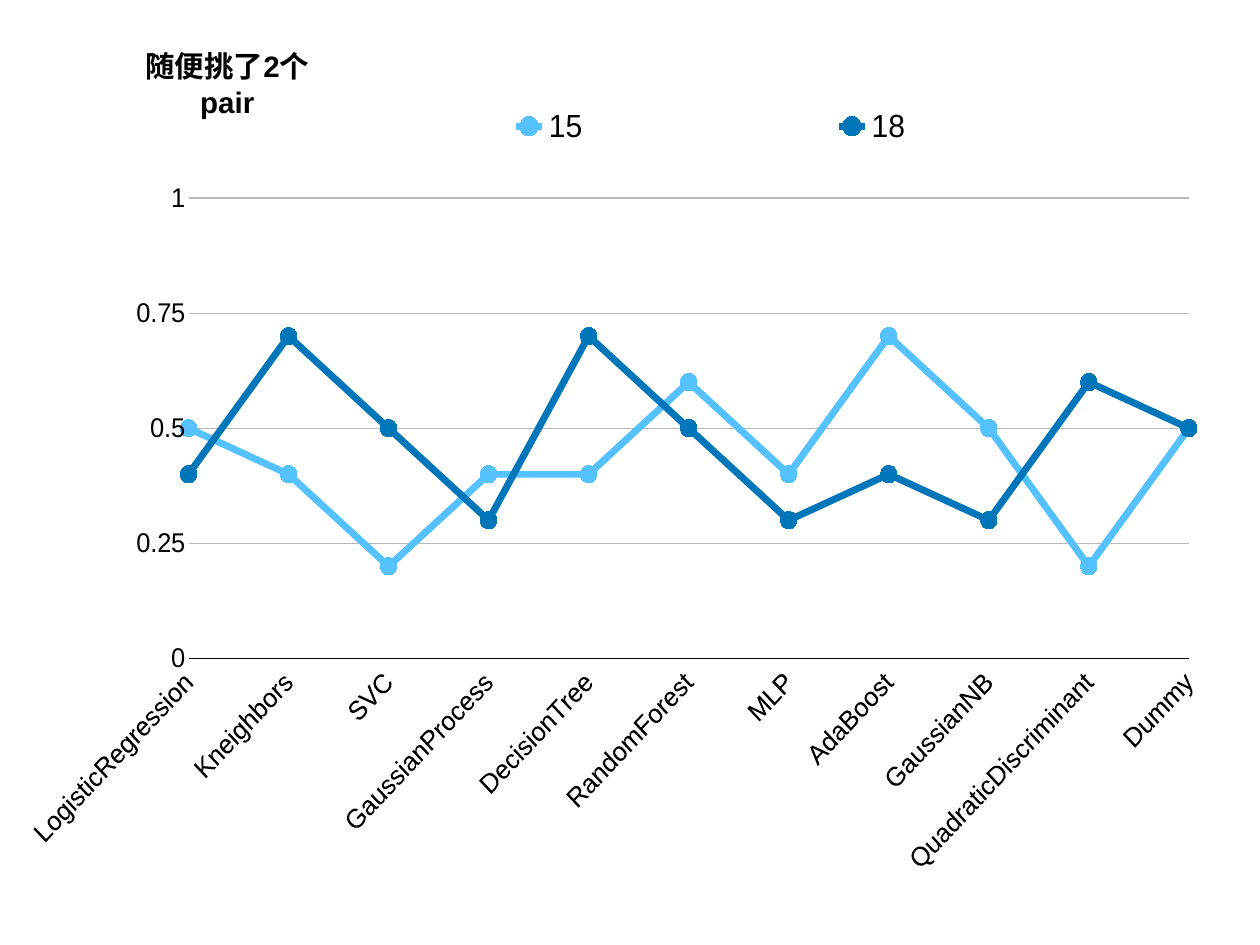
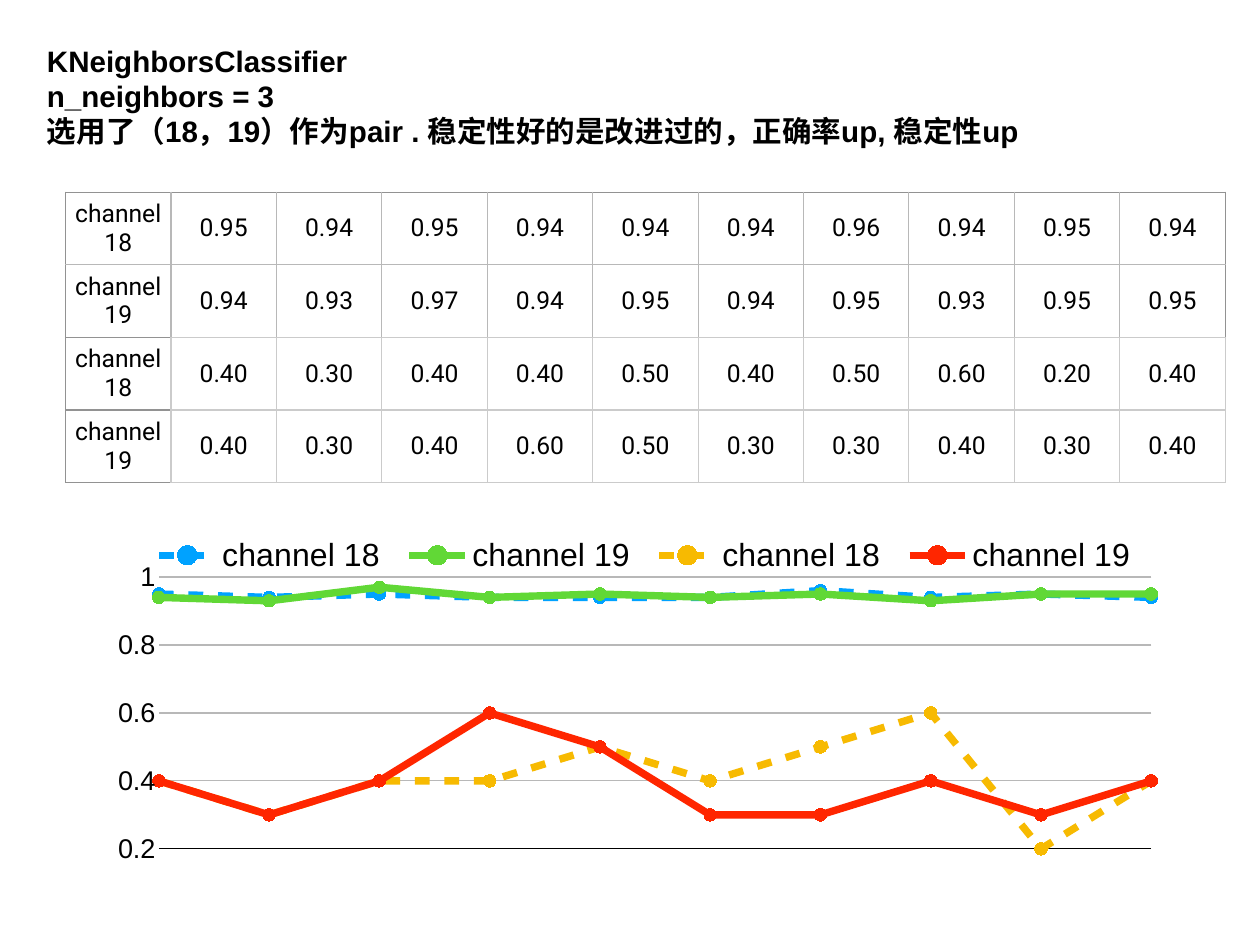
from lxml import etree
from pptx import Presentation
from pptx import util as u
from pptx.chart.data import CategoryChartData
from pptx.dml.color import RGBColor
from pptx.enum import chart as ch, text as tx
from pptx.oxml import parse_xml
from pptx.oxml.ns import nsdecls, qn

COLORS = {
    "ink": "000000", "paper": "FFFFFF",
    "edge": "929292", "grid": "B8B8B8", "pale": "CBCBCB",
    "sky": "56C1FF", "navy": "0076BA",
    "blue": "00A2FF", "green": "61D836", "gold": "F7BA01", "red": "FF2600",
}
FONT = "Arial"
PAD = 0.06

MODELS = ["LogisticRegression", "Kneighbors", "SVC", "GaussianProcess",
          "DecisionTree", "RandomForest", "MLP", "AdaBoost", "GaussianNB",
          "QuadraticDiscriminant", "Dummy"]
# Series: name, colour, dashed, values
PAIRS = [
    ("15", "sky", False, [0.5, 0.4, 0.2, 0.4, 0.4, 0.6, 0.4, 0.7, 0.5, 0.2, 0.5]),
    ("18", "navy", False, [0.4, 0.7, 0.5, 0.3, 0.7, 0.5, 0.3, 0.4, 0.3, 0.6, 0.5]),
]
RUNS = [
    ("channel 18", "blue", True,
     [0.95, 0.94, 0.95, 0.94, 0.94, 0.94, 0.96, 0.94, 0.95, 0.94]),
    ("channel 19", "green", False,
     [0.94, 0.93, 0.97, 0.94, 0.95, 0.94, 0.95, 0.93, 0.95, 0.95]),
    ("channel 18", "gold", True,
     [0.4, 0.3, 0.4, 0.4, 0.5, 0.4, 0.5, 0.6, 0.2, 0.4]),
    ("channel 19", "red", False,
     [0.4, 0.3, 0.4, 0.6, 0.5, 0.3, 0.3, 0.4, 0.3, 0.4]),
]


def rgb(name):
    return RGBColor.from_string(COLORS[name])


def style(font, size, face=FONT, bold=False):
    font.size, font.name, font.bold = u.Pt(size), face, bold
    font.color.rgb = rgb("ink")


def place(box):
    return [u.Inches(n) for n in box]


# Title
def add_title(slide, box, lines, align, left=PAD, right=PAD):
    title = slide.shapes.title
    title.left, title.top, title.width, title.height = place(box)
    frame = title.text_frame
    frame.text = "\n".join(lines)
    frame.word_wrap = True
    frame.auto_size = tx.MSO_AUTO_SIZE.NONE
    frame.vertical_anchor = tx.MSO_ANCHOR.MIDDLE
    frame.margin_left, frame.margin_right = u.Inches(left), u.Inches(right)
    frame.margin_top = frame.margin_bottom = u.Inches(PAD)
    for para in frame.paragraphs:
        para.alignment = align
        for run in para.runs:
            style(run.font, 24, bold=True)


# Table
def edges(row, col, last):
    """Colours of the left, right, top and bottom border of a cell."""
    if col == 0:
        return ("edge", "grid" if row < 2 else "pale",
                "grid" if row == 1 else "edge",
                "grid" if row == 0 else "edge")
    if row > 1:
        return ("pale",) * 4
    return ("grid", "edge" if col == last else "grid",
            "grid" if row else "edge", "pale" if row else "grid")


def set_edges(cell, names):
    props = cell._tc.get_or_add_tcPr()
    for i, (side, name) in enumerate(zip("LRTB", names)):
        props.insert(i, parse_xml(
            f'<a:ln{side} {nsdecls("a")} w="12700"><a:solidFill>'
            f'<a:srgbClr val="{COLORS[name]}"/></a:solidFill></a:ln{side}>'))


def add_grid(slide, box, rows):
    count = len(rows[0])
    table = slide.shapes.add_table(len(rows), count, *place(box)).table
    table.first_row = table.horz_banding = False
    for r, row in enumerate(rows):
        for c, value in enumerate(row):
            cell = table.cell(r, c)
            cell.text = value
            cell.vertical_anchor = tx.MSO_ANCHOR.MIDDLE
            cell.margin_left = cell.margin_right = u.Inches(PAD)
            cell.margin_top = cell.margin_bottom = u.Inches(PAD)
            cell.fill.solid()
            cell.fill.fore_color.rgb = rgb("paper")
            para = cell.text_frame.paragraphs[0]
            para.alignment = tx.PP_ALIGN.CENTER
            style(para.runs[0].font, 20, "Roboto")
            set_edges(cell, edges(r, c, count - 1))


# Chart
def layout(box, inner=False):
    keys = [("xMode", "edge"), ("yMode", "edge"), *zip("xywh", box)]
    if inner:
        keys.insert(0, ("layoutTarget", "inner"))
    body = "".join(f'<c:{key} val="{val}"/>' for key, val in keys)
    return parse_xml(f'<c:layout {nsdecls("c")}><c:manualLayout>{body}'
                     '</c:manualLayout></c:layout>')


def add_legend(chart, box):
    chart.has_legend = True
    legend = chart.legend
    legend.position = ch.XL_LEGEND_POSITION.TOP
    legend.include_in_layout = True
    style(legend.font, 26)
    root = legend._element
    for old in root.findall(qn("c:layout")):
        root.remove(old)
    root.find(qn("c:overlay")).addprevious(layout(box))


def set_axes(chart, low, step, labels):
    cat, val = chart.category_axis, chart.value_axis
    for axis in (cat, val):
        axis.major_tick_mark = axis.minor_tick_mark = ch.XL_TICK_MARK.NONE
        style(axis.tick_labels.font, 22)
    cat.tick_label_position = (ch.XL_TICK_LABEL_POSITION.LOW if labels
                               else ch.XL_TICK_LABEL_POSITION.NONE)
    cat.format.line.color.rgb = rgb("ink")
    cat.format.line.width = u.Pt(1)
    val.minimum_scale, val.maximum_scale, val.major_unit = low, 1, step
    val.format.line.fill.background()
    val.has_major_gridlines = True
    line = val.major_gridlines.format.line
    line.color.rgb, line.width = rgb("grid"), u.Pt(1)


def set_plot(chart, box):
    area = chart._chartSpace.chart.plotArea
    for old in area.findall(qn("c:layout")):
        area.remove(old)
    area.insert(0, layout(box, inner=True))
    # Lines start on the value axis; category names are slanted
    axis = area.find(qn("c:valAx"))
    for old in axis.findall(qn("c:crossBetween")):
        axis.remove(old)
    axis.find(qn("c:crosses")).addnext(
        parse_xml(f'<c:crossBetween {nsdecls("c")} val="midCat"/>'))
    for body in area.xpath("c:catAx/c:txPr/a:bodyPr"):
        body.set("rot", "-2700000")


def set_line(series, name, dashed, size):
    series.smooth = False
    line = series.format.line
    line.color.rgb, line.width = rgb(name), u.Pt(6)
    if dashed:
        root = series._element.find(qn("c:spPr")).find(qn("a:ln"))
        dash = etree.SubElement(root, qn("a:custDash"))
        etree.SubElement(dash, qn("a:ds"), d="200000", sp="200000")
    mark = series.marker
    mark.style, mark.size = ch.XL_MARKER_STYLE.CIRCLE, size
    mark.format.fill.solid()
    mark.format.fill.fore_color.rgb = rgb(name)
    mark.format.line.fill.background()


def add_lines(slide, box, cats, rows, low, step, size, plot, legend):
    data = CategoryChartData()
    data.categories = cats
    for name, _, _, vals in rows:
        data.add_series(name, vals)
    chart = slide.shapes.add_chart(
        ch.XL_CHART_TYPE.LINE_MARKERS, *place(box), data).chart
    chart.has_title = False
    style(chart.font, 10)
    chart.plots[0].vary_by_categories = False
    add_legend(chart, legend)
    set_axes(chart, low, step, any(cats))
    set_plot(chart, plot)
    for series, (_, color, dashed, _) in zip(chart.plots[0].series, rows):
        set_line(series, color, dashed, size)


def main():
    deck = Presentation()
    deck.slide_width, deck.slide_height = u.Inches(14.22), u.Inches(10.67)
    blank = deck.slide_layouts[5]

    # Two pairs across all classifiers
    slide = deck.slides.add_slide(blank)
    add_lines(slide, (0.32, 1.11, 13.57, 9.01), MODELS, PAIRS, 0, 0.25, 14,
              plot=(0.078, 0.125, 0.885, 0.577), legend=(0.15, 0, 0.78, 0.07))
    add_title(slide, (1.46, 0.66, 2.59, 0.57), ["随便挑了2个pair"],
              tx.PP_ALIGN.CENTER, left=0, right=0.38)

    # Channel results: table above its chart
    slide = deck.slides.add_slide(blank)
    add_grid(slide, (0.74, 2.17, 13.09, 3.28),
             [[name] + [f"{v:.2f}" for v in vals] for name, _, _, vals in RUNS])
    add_title(slide, (0.47, 0.39, 11.52, 1.38),
              ["KNeighborsClassifier", "n_neighbors = 3",
               "选用了（18，19）作为pair . 稳定性好的是改进过的，正确率up, 稳定性up"],
              tx.PP_ALIGN.LEFT)
    add_lines(slide, (1.11, 6, 11.98, 4.16), [""] * 10, RUNS, 0.2, 0.2, 10,
              plot=(0.057, 0.124, 0.935, 0.738), legend=(0.04, 0, 0.95, 0.13))
    deck.save("out.pptx")


if __name__ == "__main__":
    main()
